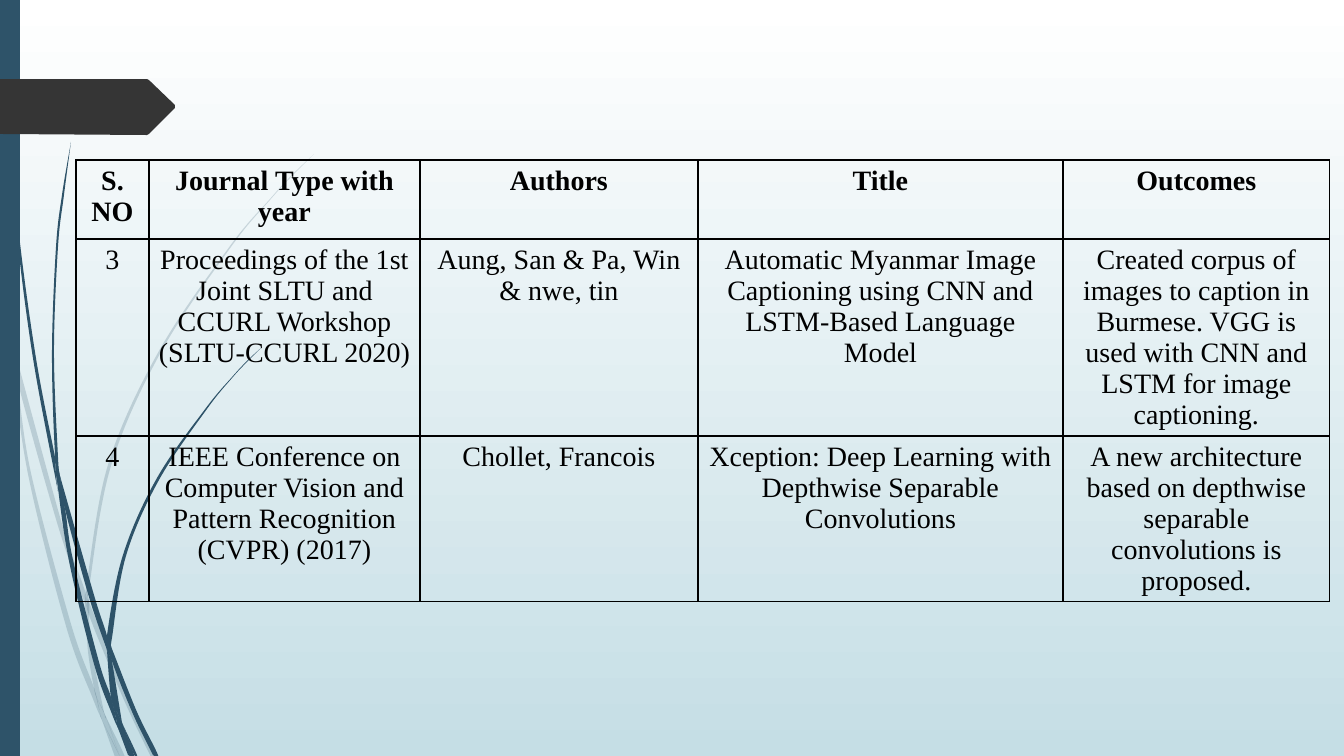
from collections import namedtuple
from dataclasses import dataclass

from lxml.etree import SubElement
from pptx import Presentation
from pptx.dml.color import RGBColor
from pptx.enum.shapes import MSO_SHAPE
from pptx.enum.text import PP_ALIGN
from pptx.oxml.ns import qn
from pptx.util import Pt

EMU_PER_PIXEL = 914400 / 100.8
Box = namedtuple("Box", "left top width height")


@dataclass(frozen=True)
class Theme:
    accent: RGBColor = RGBColor(0x2E, 0x53, 0x69)
    tag: RGBColor = RGBColor(0x35, 0x35, 0x35)
    ink: RGBColor = RGBColor(0, 0, 0)
    sky_top: RGBColor = RGBColor(0xFF, 0xFF, 0xFF)
    sky_bottom: RGBColor = RGBColor(0xC5, 0xDE, 0xE5)
    font: str = "Times New Roman"
    text_size: int = 20
    border: int = 1
    pale_opacity: int = 20


THEME = Theme()

PALE_BLADES = [
    ([(0, 284), (9, 325), (11, 353)], [(10, 347), (0, 301)]),
    ([(14, 348), (17, 379), (58, 526), (85, 604)], [(85, 591), (62, 524)]),
    ([(89, 601), (89, 615), (124, 700), (151, 757)], [(156, 757), (128, 698), (93, 612)]),
    ([(106, 717), (120, 757)], [(125, 757)]),
    ([(11, 353), (28, 474), (66, 626), (93, 699), (102, 720)],
     [(100, 713), (94, 688), (71, 624), (31, 473), (17, 379)]),
    ([(85, 604), (88, 651), (94, 688), (97, 698), (106, 717)], [(104, 712), (92, 651), (89, 615), (89, 613)]),
    ([(314, 154), (291, 176), (270, 199), (230, 246), (159, 351), (108, 465), (86, 589), (86, 591), (89, 601)],
     [(89, 589), (111, 466), (161, 352), (231, 247), (270, 200), (292, 176)]),
    ([(102, 720), (115, 757)], [(120, 757)]),
    ([(85, 604), (89, 613), (89, 615)], [(89, 601), (86, 591)]),
    ([(94, 688), (100, 713), (102, 720), (120, 757)], [(106, 717), (97, 698)]),
]
DARK_BLADES = [
    ([(3, 0), (4, 48), (7, 111), (17, 235), (33, 358), (56, 481), (57, 485)],
     [(55, 461), (55, 457), (36, 358), (19, 234), (8, 110), (5, 48), (4, 0)]),
    ([(60, 476), (65, 509), (89, 597), (107, 650)], [(107, 636), (94, 595)]),
    ([(111, 646), (112, 661), (133, 714), (153, 755)], [(158, 755), (137, 712), (114, 654)]),
    ([(57, 481), (69, 561), (94, 664), (112, 714), (118, 728)],
     [(117, 723), (111, 697), (99, 662), (73, 560), (65, 509)]),
    ([(71, 142), (62, 195), (56, 247), (52, 352), (55, 453), (60, 476)],
     [(58, 457), (54, 352), (58, 247), (64, 195)]),
    ([(123, 725), (134, 755)], [(137, 755)]),
    ([(55, 453), (60, 476), (65, 509)], [(57, 481), (55, 457)]),
    ([(262, 347), (247, 361), (233, 376), (206, 408), (157, 478), (123, 555), (107, 636), (111, 646)],
     [(112, 638), (126, 556), (159, 480), (207, 409), (233, 377), (247, 362)]),
    ([(118, 728), (128, 755)], [(132, 755)]),
    ([(107, 650), (111, 697), (117, 712), (123, 725)], [(122, 722), (112, 661), (110, 656)]),
    ([(107, 636), (111, 646), (112, 661)], [(110, 656), (107, 650)]),
    ([(111, 697), (117, 723), (118, 728), (131, 755)], [(134, 755), (123, 725), (117, 712)]),
]
TAG_OUTLINE = [(0, 79), (147, 79), (149, 80), (175, 105), (175, 108), (149, 134), (147, 135), (0, 134)]

COLUMN_WIDTHS = [73, 271, 278, 365, 267]
ROW_HEIGHTS = [79, 197, 73]
PAPERS = [
    ["S. NO", "Journal Type with year", "Authors", "Title", "Outcomes"],
    ["3", "Proceedings of the 1st Joint SLTU and CCURL Workshop (SLTU-CCURL 2020)",
     "Aung, San & Pa, Win & nwe, tin",
     "Automatic Myanmar Image Captioning using CNN and LSTM-Based Language Model",
     "Created corpus of images to caption in Burmese. VGG is used with CNN and LSTM for image captioning."],
    ["4", "IEEE Conference on Computer Vision and Pattern Recognition (CVPR) (2017)",
     "Chollet, Francois",
     "Xception: Deep Learning with Depthwise Separable Convolutions",
     "A new architecture based on depthwise separable convolutions is proposed."],
]


def emu(pixels):
    return round(pixels * EMU_PER_PIXEL)


def paint(shape, color, opacity=100):
    shape.shadow.inherit = False
    shape.line.fill.background()
    shape.fill.solid()
    shape.fill.fore_color.rgb = color
    if opacity < 100:
        for tint in shape.fill._xPr.iter(qn("a:srgbClr")):
            SubElement(tint, qn("a:alpha"), val=str(opacity * 1000))


def add_outline(page, box, points):
    corners = [(emu(box.left + x), emu(box.top + y)) for x, y in points]
    builder = page.shapes.build_freeform(*corners[0], scale=1.0)
    builder.add_line_segments(corners[1:], close=True)
    return builder.convert_to_shape()


def curve_through(knots):
    padded = [knots[0], *knots, knots[-1]]
    points = []
    for before, start, end, after in zip(padded, padded[1:], padded[2:], padded[3:]):
        points.append(tuple(s + (e - b) / 6 for b, s, e in zip(before, start, end)))
        points.append(tuple(e - (a - s) / 6 for s, e, a in zip(start, end, after)))
        points.append(end)
    return points


def bend_segments(shape):
    lines = list(shape._element.iter(qn("a:lnTo")))
    for first, second, third in zip(lines[::3], lines[1::3], lines[2::3]):
        first.tag = qn("a:cubicBezTo")
        for line in (second, third):
            first.append(line[0])
            line.getparent().remove(line)


def add_blade(page, box, blade, opacity):
    down, back = blade
    points = [down[0], *curve_through(down), *curve_through([down[-1], *back, down[0]])]
    shape = add_outline(page, box, points)
    bend_segments(shape)
    paint(shape, THEME.accent, opacity)


def add_grass(page, box):
    for blades, opacity in ((PALE_BLADES, THEME.pale_opacity), (DARK_BLADES, 100)):
        for blade in blades:
            add_blade(page, box, blade, opacity)


def add_side_bar(page, box):
    bar = page.shapes.add_shape(MSO_SHAPE.RECTANGLE, *map(emu, box))
    paint(bar, THEME.accent)


def add_background(page):
    fill = page.background.fill
    fill.gradient()
    fill.gradient_angle = 270
    for stop, color in zip(fill.gradient_stops, (THEME.sky_top, THEME.sky_bottom)):
        stop.color.rgb = color


def add_borders(cell):
    properties = cell._tc.get_or_add_tcPr()
    for index, side in enumerate(("lnL", "lnR", "lnT", "lnB")):
        line = SubElement(properties, qn(f"a:{side}"), w=str(Pt(THEME.border)))
        fill = SubElement(line, qn("a:solidFill"))
        SubElement(fill, qn("a:srgbClr"), val=str(THEME.ink))
        properties.insert(index, line)


def fill_cell(cell, text, bold):
    cell.fill.background()
    cell.margin_left = cell.margin_right = emu(8)
    add_borders(cell)
    para = cell.text_frame.paragraphs[0]
    para.alignment = PP_ALIGN.CENTER
    span = para.add_run()
    span.text = text
    span.font.name = THEME.font
    span.font.size = Pt(THEME.text_size)
    span.font.bold = bold
    span.font.color.rgb = THEME.ink


def add_papers_table(page, box):
    frame = page.shapes.add_table(len(PAPERS), len(COLUMN_WIDTHS), *map(emu, box))
    table = frame.table
    table.first_row = table.horz_banding = False
    for column, width in zip(table.columns, COLUMN_WIDTHS):
        column.width = emu(width)
    for row, height in zip(table.rows, ROW_HEIGHTS):
        row.height = emu(height)
    frame.height = emu(box.height)
    for row_index, paper in enumerate(PAPERS):
        for column_index, text in enumerate(paper):
            fill_cell(table.cell(row_index, column_index), text, row_index == 0)


def build_literature_page(deck, box):
    page = deck.slides.add_slide(deck.slide_layouts[6])
    add_background(page)
    add_grass(page, box)
    add_side_bar(page, Box(box.left, box.top, 20, box.height))
    paint(add_outline(page, box, TAG_OUTLINE), THEME.tag)
    add_papers_table(page, Box(box.left + 76, box.top + 160, sum(COLUMN_WIDTHS), 470))


deck = Presentation()
slide_box = Box(0, 0, 1344, 756)
deck.slide_width, deck.slide_height = emu(slide_box.width), emu(slide_box.height)
build_literature_page(deck, slide_box)
deck.save("out.pptx")
